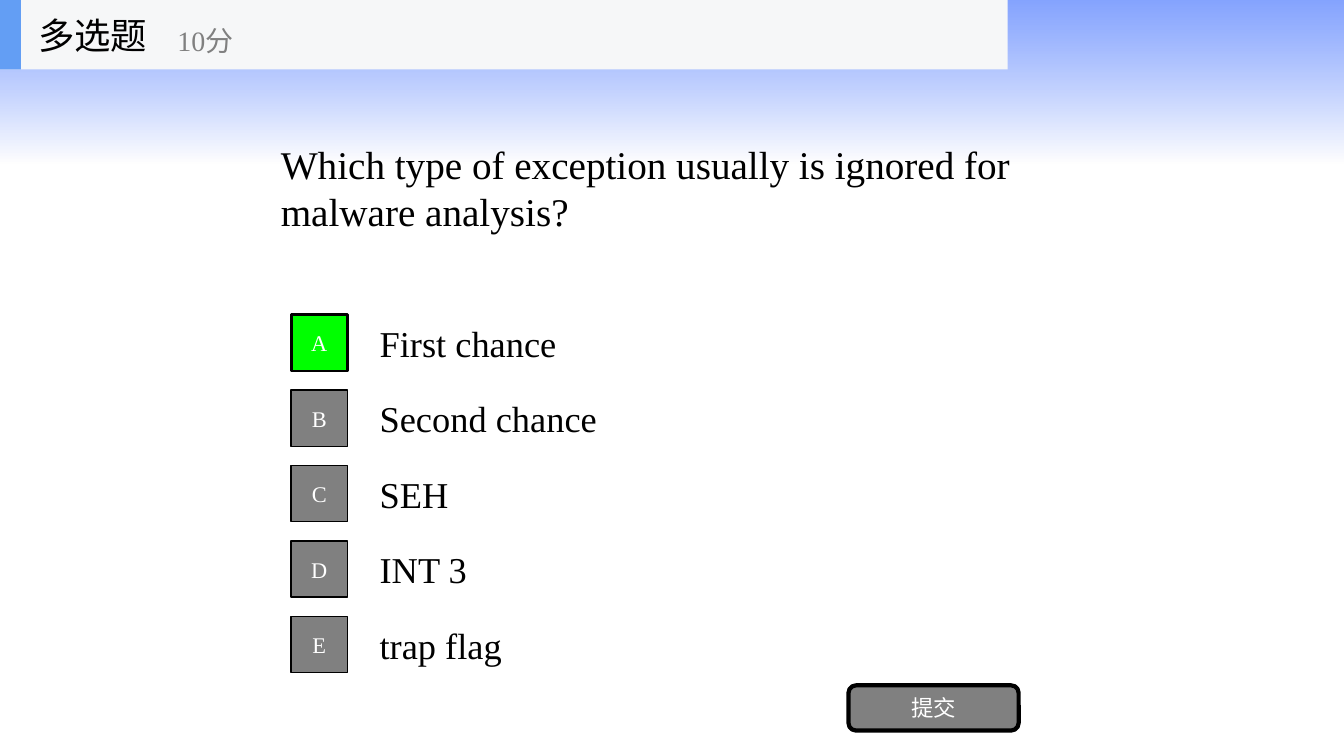
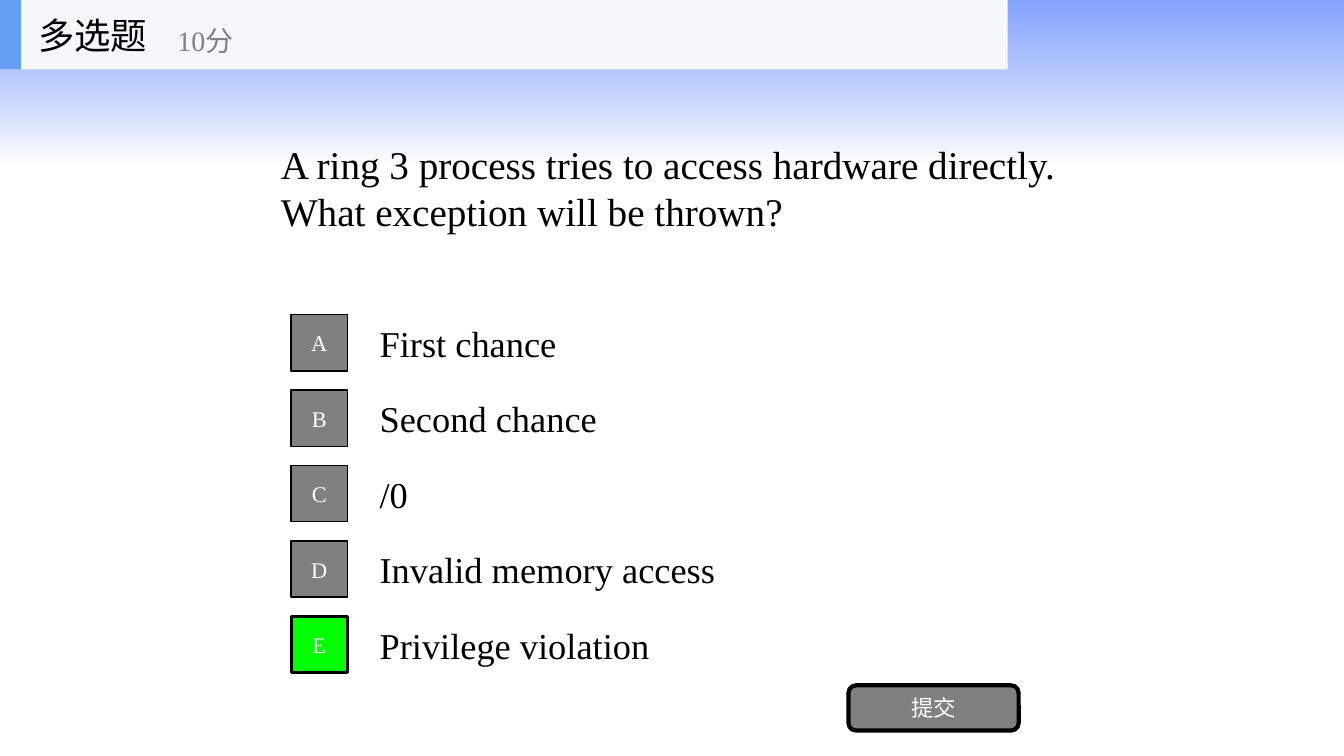
from lxml import etree
from pptx import Presentation
from pptx.dml.color import RGBColor
from pptx.enum.shapes import MSO_SHAPE
from pptx.enum.text import MSO_ANCHOR, PP_ALIGN
from pptx.oxml.ns import qn
from pptx.util import Cm, Pt

RECTANGLE, ROUNDED = MSO_SHAPE.RECTANGLE, MSO_SHAPE.ROUNDED_RECTANGLE
LEFT, CENTER, MIDDLE = PP_ALIGN.LEFT, PP_ALIGN.CENTER, MSO_ANCHOR.MIDDLE

QUESTION_TYPE = "多选题"
SCORE = "10分"
SUBMIT = "提交"
QUESTIONS = [
    {
        "question": "Which type of exception usually is ignored for malware analysis?",
        "options": ["First chance", "Second chance", "SEH", "INT 3", "trap flag"],
        "answer": "A",
    },
    {
        "question": "A ring 3 process tries to access hardware directly. "
                    "What exception will be thrown?",
        "options": ["First chance", "Second chance", "/0",
                    "Invalid memory access", "Privilege violation"],
        "answer": "E",
    },
]

FONT = "Times New Roman"
BLACK, WHITE, GRAY, GREEN = "000000", "FFFFFF", "808080", "00FF00"
HEADER_FILL, ACCENT = "F6F7F8", "639EF4"
BAND_STOPS = [("3366FF", 60), ("FFFFFF", 70)]  # colour, opacity in percent

# Lengths in centimetres
SLIDE_WIDTH, SLIDE_HEIGHT = 33.88, 19.05
BAND_HEIGHT = 4.11
HEADER_WIDTH, HEADER_HEIGHT, ACCENT_WIDTH = 25.4, 1.75, 0.53
OPTION_TOP, OPTION_HEIGHT, OPTION_PITCH = 7.75, 1.78, 1.9
OPTION_LEFT, OPTION_WIDTH = 9.32, 17.78
KEY_LEFT, KEY_SIZE = 7.34, 1.42


def rgb(color):
    return RGBColor.from_string(color)


def write(shape, text, size, color, alignment=LEFT):
    frame = shape.text_frame
    frame.word_wrap = True
    frame.vertical_anchor = MIDDLE
    frame.text = text
    paragraph = frame.paragraphs[0]
    paragraph.alignment = alignment
    paragraph.font.name = FONT
    paragraph.font.size = Pt(size)
    paragraph.font.color.rgb = rgb(color)


def add_text(slide, box, text, size, color=BLACK):
    write(slide.shapes.add_textbox(*map(Cm, box)), text, size, color)


def add_box(slide, box, fill, line_width=0, kind=RECTANGLE):
    shape = slide.shapes.add_shape(kind, *map(Cm, box))
    shape.shadow.inherit = False
    shape.fill.solid()
    shape.fill.fore_color.rgb = rgb(fill)
    if line_width:
        shape.line.color.rgb = rgb(BLACK)
        shape.line.width = Pt(line_width)
    else:
        shape.line.fill.background()
    return shape


def add_button(slide, box, text, fill, line_width, kind=RECTANGLE):
    write(add_box(slide, box, fill, line_width, kind), text, 16, WHITE, CENTER)


def fade(shape):
    """Fill the shape with the translucent gradient, running top to bottom."""
    shape.fill.gradient()
    shape.fill.gradient_angle = 270
    for stop, (color, opacity) in zip(shape.fill.gradient_stops, BAND_STOPS):
        stop.color.rgb = rgb(color)
    elements = shape.element.iter(qn("a:srgbClr"))
    for element, (color, opacity) in zip(elements, BAND_STOPS):
        etree.SubElement(element, qn("a:alpha"), val=str(opacity * 1000))


def decorate_layout(layout, slide):
    """Draw the shared bands on a slide, then move them to its layout."""
    band = add_box(slide, (0, 0, SLIDE_WIDTH, BAND_HEIGHT), WHITE)
    fade(band)
    header = add_box(slide, (0, 0, HEADER_WIDTH, HEADER_HEIGHT), HEADER_FILL)
    accent = add_box(slide, (0, 0, ACCENT_WIDTH, HEADER_HEIGHT), ACCENT)
    for shape in (band, header, accent):
        layout.shapes.element.append(shape.element)


def add_options(slide, options, answer):
    for index, (key, option) in enumerate(zip("ABCDE", options)):
        top = OPTION_TOP + index * OPTION_PITCH
        add_text(slide, (OPTION_LEFT, top, OPTION_WIDTH, OPTION_HEIGHT), option, 26)
        key_top = top + (OPTION_HEIGHT - KEY_SIZE) / 2
        fill, line_width = (GREEN, 2) if key == answer else (GRAY, 1)
        add_button(slide, (KEY_LEFT, key_top, KEY_SIZE, KEY_SIZE), key, fill, line_width)


def fill_slide(slide, content):
    add_text(slide, (0.71, 0, 5.28, HEADER_HEIGHT), QUESTION_TYPE, 26)
    add_text(slide, (4.22, 0.3, 6.35, 1.42), SCORE, 20, GRAY)
    add_text(slide, (6.83, 1.75, 20.32, 5.94), content["question"], 28)
    add_options(slide, content["options"], content["answer"])
    add_button(slide, (21.39, 17.27, 4.29, 1.14), SUBMIT, GRAY, 3, ROUNDED)


def main():
    presentation = Presentation()
    presentation.slide_width = Cm(SLIDE_WIDTH)
    presentation.slide_height = Cm(SLIDE_HEIGHT)
    blank = presentation.slide_layouts[6]
    slides = [presentation.slides.add_slide(blank) for _ in QUESTIONS]
    decorate_layout(blank, slides[0])
    for slide, content in zip(slides, QUESTIONS):
        fill_slide(slide, content)
    presentation.save("out.pptx")


if __name__ == "__main__":
    main()
